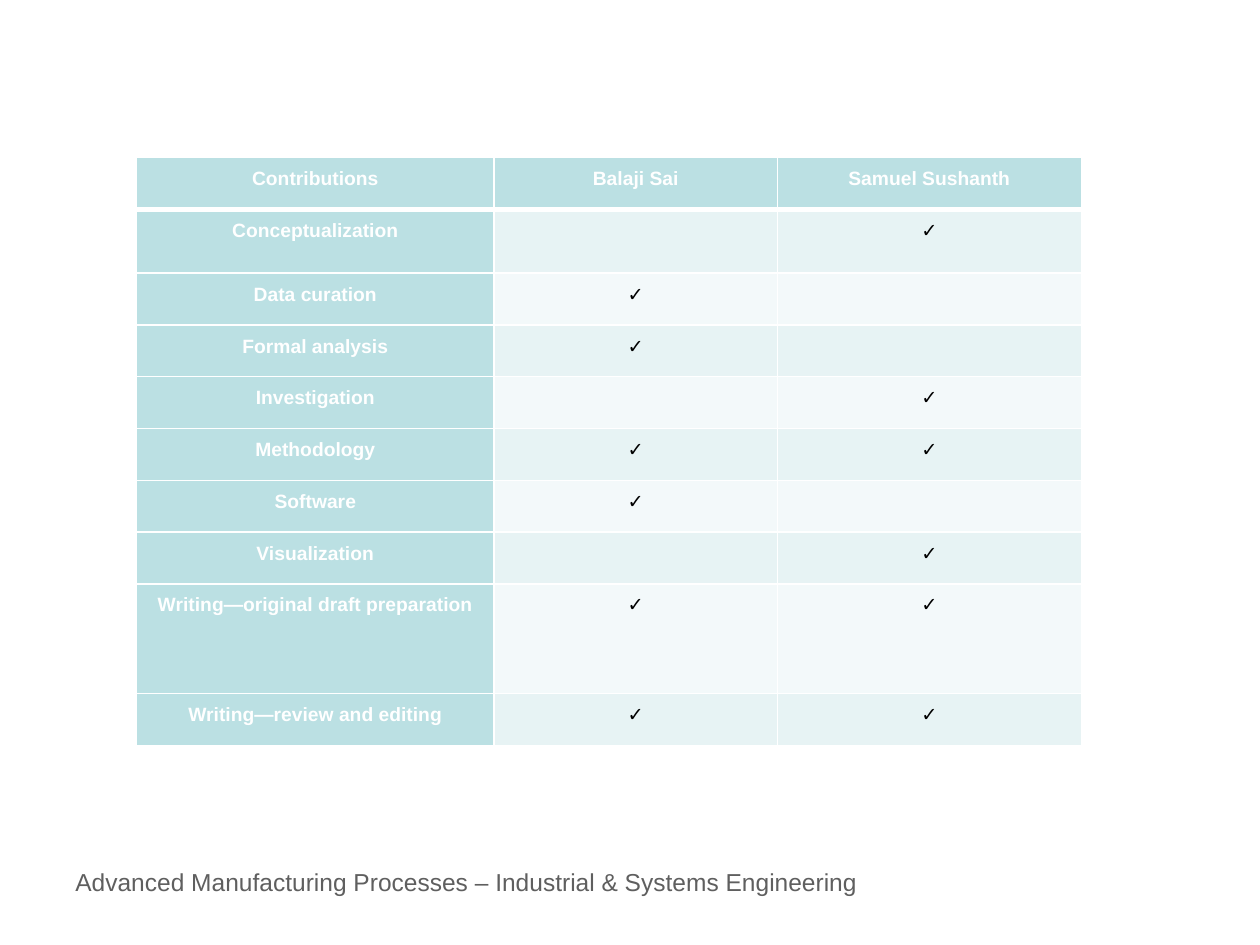
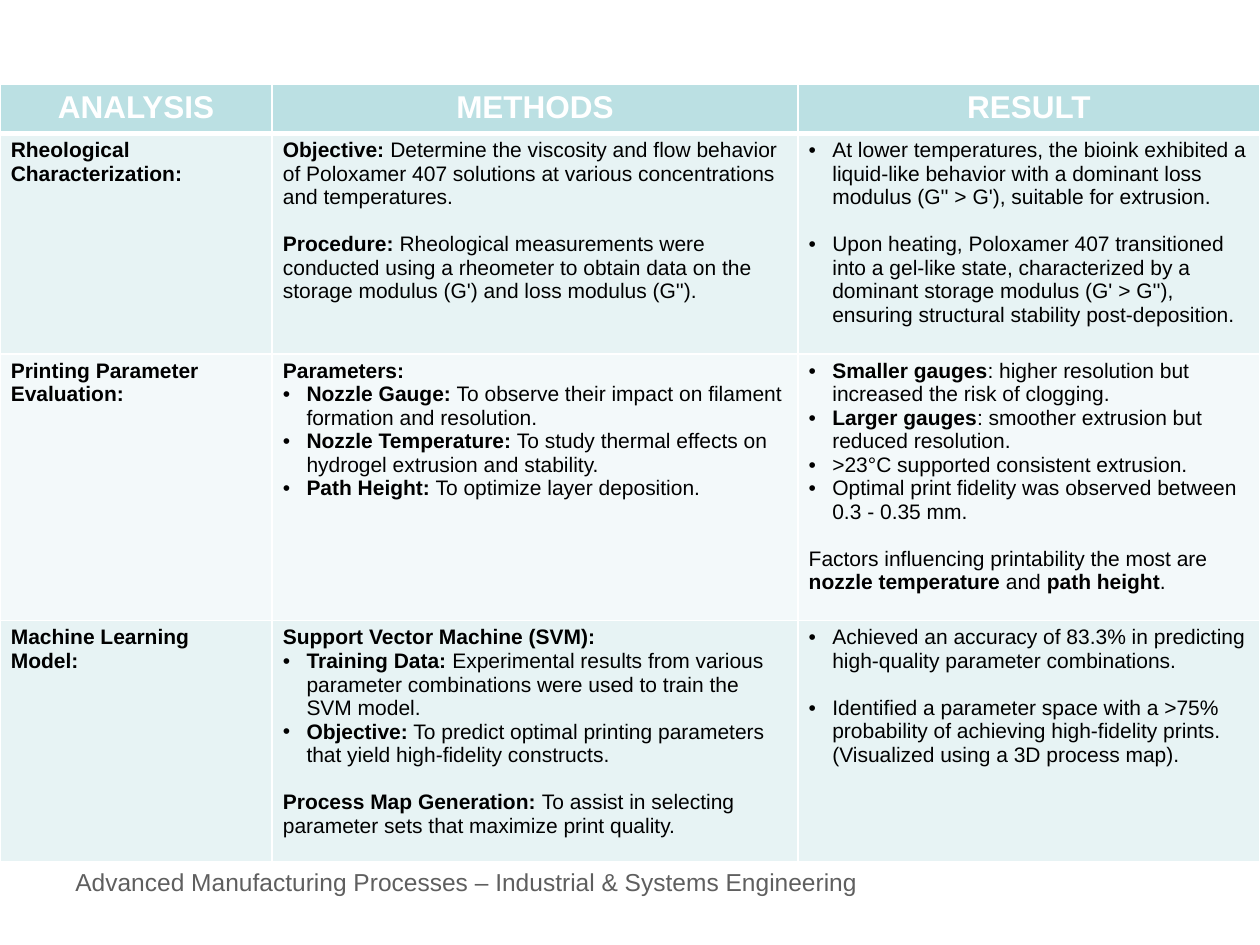
from collections import namedtuple
from dataclasses import dataclass

from lxml import etree
from pptx import Presentation
from pptx.dml.color import RGBColor
from pptx.enum import text as text_enum
from pptx.oxml import ns
from pptx.util import Pt

# Content: **...** marks bold text; gap puts one empty line's height before.
Line = namedtuple("Line", "text bullet gap", defaults=(False, False))

FOOTER = "Advanced Manufacturing Processes – Industrial & Systems Engineering"
AUTHORS = ["Balaji Sai", "Samuel Sushanth"]
CONTRIBUTIONS = [  # role, then the authors who took part
    ("Conceptualization", AUTHORS[1:]),
    ("Data curation", AUTHORS[:1]),
    ("Formal analysis", AUTHORS[:1]),
    ("Investigation", AUTHORS[1:]),
    ("Methodology", AUTHORS),
    ("Software", AUTHORS[:1]),
    ("Visualization", AUTHORS[1:]),
    ("Writing—original draft preparation", AUTHORS),
    ("Writing—review and editing", AUTHORS),
]
SUMMARY_HEADER = ["ANALYSIS", "METHODS", "RESULT"]
SUMMARY = [
    (
        [Line("**Rheological Characterization:**")],
        [
            Line("**Objective: **Determine the viscosity and flow behavior of Poloxamer 407 "
                 "solutions at various concentrations and temperatures."),
            Line("**Procedure:** Rheological measurements were conducted using a rheometer to "
                 "obtain data on the storage modulus (G') and loss modulus (G'').", gap=True),
        ],
        [
            Line("At lower temperatures, the bioink exhibited a liquid-like behavior with a "
                 "dominant loss modulus (G'' > G'), suitable for extrusion.", bullet=True),
            Line("Upon heating, Poloxamer 407 transitioned into a gel-like state, characterized "
                 "by a dominant storage modulus (G' > G''), ensuring structural stability "
                 "post-deposition.", bullet=True, gap=True),
        ],
    ),
    (
        [Line("**Printing Parameter Evaluation:**")],
        [
            Line("**Parameters:**"),
            Line("**Nozzle Gauge:** To observe their impact on filament formation and "
                 "resolution.", bullet=True),
            Line("**Nozzle Temperature:** To study thermal effects on hydrogel extrusion and "
                 "stability.", bullet=True),
            Line("**Path Height:** To optimize layer deposition.", bullet=True),
        ],
        [
            Line("**Smaller gauges**: higher resolution but increased the risk of clogging.",
                 bullet=True),
            Line("**Larger gauges**: smoother extrusion but reduced resolution.", bullet=True),
            Line(">23°C supported consistent extrusion.", bullet=True),
            Line("Optimal print fidelity was observed between 0.3 - 0.35 mm.", bullet=True),
            Line("Factors influencing printability the most are **nozzle temperature** and "
                 "**path height**.", gap=True),
        ],
    ),
    (
        [Line("**Machine Learning Model:**")],
        [
            Line("**Support Vector Machine (SVM):**"),
            Line("**Training Data:** Experimental results from various parameter combinations "
                 "were used to train the SVM model.", bullet=True),
            Line("**Objective:** To predict optimal printing parameters that yield "
                 "high-fidelity constructs.", bullet=True),
            Line("**Process Map Generation: **To assist in selecting parameter sets that "
                 "maximize print quality.", gap=True),
        ],
        [
            Line("Achieved an accuracy of 83.3% in predicting high-quality parameter "
                 "combinations.", bullet=True),
            Line("Identified a parameter space with a >75% probability of achieving "
                 "high-fidelity prints. (Visualized using a 3D process map).",
                 bullet=True, gap=True),
        ],
    ),
]


@dataclass(frozen=True)
class Theme:
    font: str = "Arial"
    white: str = "FFFFFF"
    black: str = "000000"
    grey: str = "5F5F5F"
    accent: str = "BBE0E3"
    bands: tuple = ("E7F3F4", "F3F9FA")
    footer_size: float = 14
    matrix_size: float = 11
    heading_size: float = 18
    body_size: float = 12
    gap: float = 13.4
    indent: float = 13.5
    rule: float = 1
    heavy_rule: float = 3


THEME = Theme()
CENTERED = {"alignment": text_enum.PP_ALIGN.CENTER}
MATRIX_PARA = {**CENTERED, "line_spacing": 1.5, "space_after": Pt(8)}


def apply(target, values):
    for name, value in values.items():
        setattr(target, name, value)


def add_bullet(para):
    properties = para._p.get_or_add_pPr()
    properties.set("marL", str(Pt(THEME.indent)))
    properties.set("indent", str(-Pt(THEME.indent)))
    etree.SubElement(properties, ns.qn("a:buFont"), typeface=THEME.font)
    etree.SubElement(properties, ns.qn("a:buChar"), char="•")


def write_lines(frame, lines, size, color, **para_format):
    for index, line in enumerate(lines):
        para = frame.add_paragraph() if index else frame.paragraphs[0]
        if line.bullet:
            add_bullet(para)
        apply(para, para_format)
        if line.gap:
            para.space_before = Pt(THEME.gap)
        for part, content in enumerate(line.text.split("**")):
            if content:
                span = para.add_run()
                span.text = content
                apply(span.font, {"name": THEME.font, "size": Pt(size), "bold": part % 2 == 1})
                span.font.color.rgb = RGBColor.from_string(color)


def add_borders(cell, **widths):
    properties = cell._tc.get_or_add_tcPr()
    for side in "LRTB":
        width = Pt(widths.get(side, THEME.rule))
        edge = etree.SubElement(properties, ns.qn(f"a:ln{side}"), w=str(width))
        fill = etree.SubElement(edge, ns.qn("a:solidFill"))
        etree.SubElement(fill, ns.qn("a:srgbClr"), val=THEME.white)


def add_grid(page, left, top, widths, heights, margins, accent_columns=0):
    """Add a banded table with a header row and the given number of accent columns."""
    table = page.shapes.add_table(len(heights), len(widths), Pt(left), Pt(top),
                                  Pt(sum(widths)), Pt(sum(heights))).table
    table.horz_banding = False
    for column, width in zip(table.columns, widths):
        column.width = Pt(width)
    side, end = map(Pt, margins)
    for r, height in enumerate(heights):
        table.rows[r].height = Pt(height)
        for c in range(len(widths)):
            cell = table.cell(r, c)
            apply(cell, {"margin_left": side, "margin_right": side,
                         "margin_top": end, "margin_bottom": end})
            heavy = {0: {"B": THEME.heavy_rule}, 1: {"T": THEME.heavy_rule}}
            add_borders(cell, **heavy.get(r, {}))
            accented = r == 0 or c < accent_columns
            color = THEME.accent if accented else THEME.bands[(r - 1) % 2]
            cell.fill.solid()
            cell.fill.fore_color.rgb = RGBColor.from_string(color)
    return table


def add_page(deck):
    """Add a blank slide with the shared footer."""
    page = deck.slides.add_slide(deck.slide_layouts[6])
    box = page.shapes.add_textbox(Pt(36), Pt(492), Pt(474), Pt(24.5))
    box.text_frame.word_wrap = True
    write_lines(box.text_frame, [Line(FOOTER)], THEME.footer_size, THEME.grey)
    return page


def build_contributions(deck):
    heights = [29.6, 36.5] + [29.6] * 6 + [62.8, 29.6]
    table = add_grid(add_page(deck), 78, 90, [204.4, 161.8, 173.8], heights, (5, 0),
                     accent_columns=1)
    rows = [["Contributions", *AUTHORS]]
    rows += [[role, *("✓" if author in doers else "" for author in AUTHORS)]
             for role, doers in CONTRIBUTIONS]
    for r, row in enumerate(rows):
        for c, content in enumerate(row):
            if content:
                label = r == 0 or c == 0
                line = Line(f"**{content}**" if label else content)
                write_lines(table.cell(r, c).text_frame, [line], THEME.matrix_size,
                            THEME.white if label else THEME.black, **MATRIX_PARA)


def build_summary(deck):
    table = add_grid(add_page(deck), 0, 48.2, [155.5, 300.5, 264],
                     [28, 126, 152.4, 137.6], (6.2, 3.1))
    for c, heading in enumerate(SUMMARY_HEADER):
        write_lines(table.cell(0, c).text_frame, [Line(f"**{heading}**")],
                    THEME.heading_size, THEME.white, **CENTERED)
    for r, row in enumerate(SUMMARY, start=1):
        for c, lines in enumerate(row):
            write_lines(table.cell(r, c).text_frame, lines, THEME.body_size, THEME.black)


def main():
    deck = Presentation()
    apply(deck, {"slide_width": Pt(720), "slide_height": Pt(540)})
    build_contributions(deck)
    build_summary(deck)
    deck.save("out.pptx")


if __name__ == "__main__":
    main()
